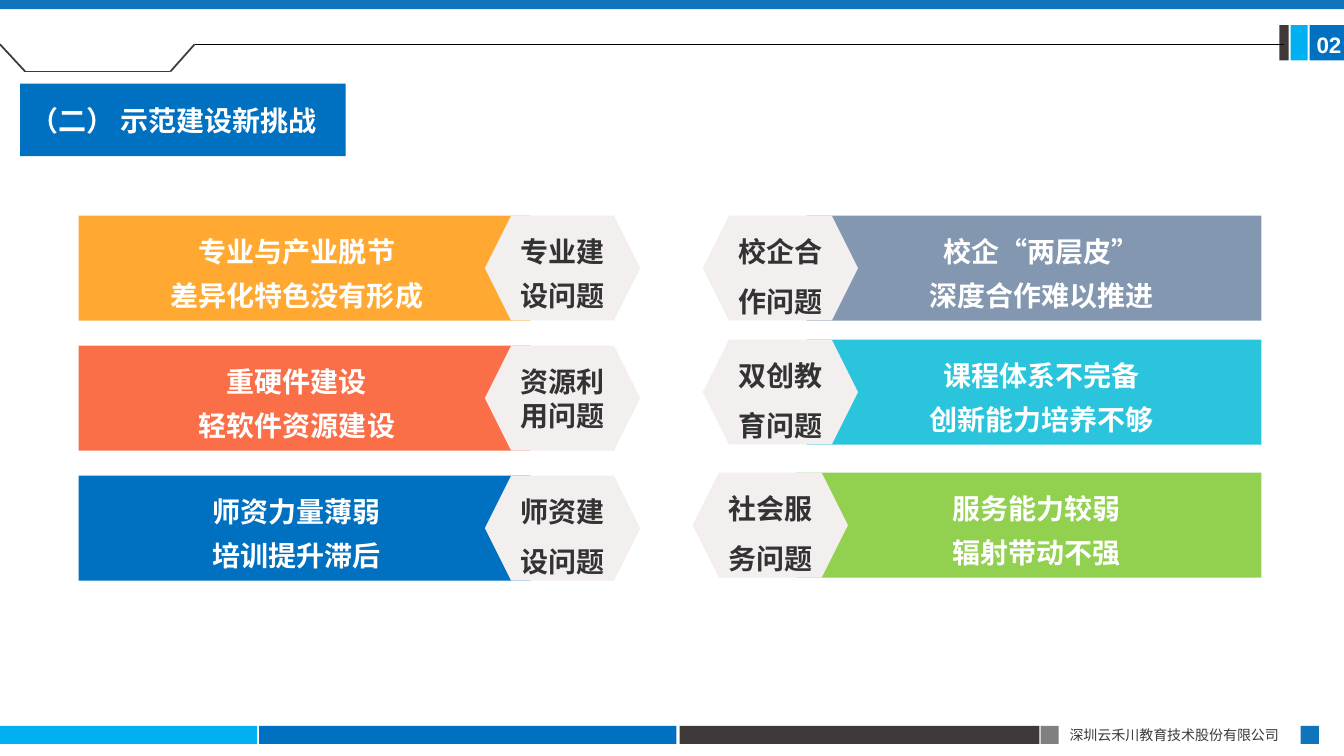
from lxml.etree import SubElement
from pptx import Presentation
from pptx.dml.color import RGBColor
from pptx.enum.shapes import MSO_CONNECTOR, MSO_SHAPE
from pptx.enum.text import MSO_ANCHOR, PP_ALIGN
from pptx.oxml.ns import qn
from pptx.util import Inches, Pt

BLUE, CYAN, DARK, ACCENT, GRAY = "0070C0", "00B0F0", "3E3A39", "1074BB", "808080"
WHITE, PALE, LABEL = "FFFFFF", "F3EFEF", "333333"
CHINESE_FONT = "Noto Sans CJK SC"
BAND_HEIGHT = 1.04
NOTCH_DEPTH = 0.41


def color(value):
    return RGBColor.from_string(value)


class ChallengeSlide:
    """Draws the elements of the challenge slide in one shared style."""

    def __init__(self, presentation):
        self.slide = presentation.slides.add_slide(presentation.slide_layouts[6])
        self.shapes = self.slide.shapes

    def paint(self, shape, fill):
        shape.shadow.inherit = False
        shape.fill.solid()
        shape.fill.fore_color.rgb = color(fill)
        shape.line.fill.background()
        return shape

    def set_text(self, shape, text, size, text_color, bold=True, font=CHINESE_FONT,
                 align=PP_ALIGN.LEFT, spacing=None, anchor=MSO_ANCHOR.MIDDLE,
                 insets=(0.1, 0.05, 0.1, 0.05)):
        frame = shape.text_frame
        frame.word_wrap = True
        frame.vertical_anchor = anchor
        frame.margin_left, frame.margin_top, frame.margin_right, frame.margin_bottom = (
            Inches(inset) for inset in insets)
        frame.text = text
        for paragraph in frame.paragraphs:
            paragraph.alignment = align
            paragraph.line_spacing = spacing
            for run in paragraph.runs:
                run.font.size = Pt(size)
                run.font.bold = bold
                run.font.name = font
                run.font.color.rgb = color(text_color)
                SubElement(run._r.get_or_add_rPr(), qn("a:ea")).set("typeface", font)

    def preset(self, left, top, width, height, fill, kind=MSO_SHAPE.RECTANGLE):
        shape = self.shapes.add_shape(
            kind, Inches(left), Inches(top), Inches(width), Inches(height))
        return self.paint(shape, fill)

    def text_box(self, left, top, width, height, text, size, text_color, **style):
        box = self.shapes.add_textbox(
            Inches(left), Inches(top), Inches(width), Inches(height))
        self.set_text(box, text, size, text_color, anchor=MSO_ANCHOR.TOP, **style)

    def line(self, start, end, line_color, width):
        connector = self.shapes.add_connector(
            MSO_CONNECTOR.STRAIGHT, *(Inches(value) for value in start + end))
        connector.line.color.rgb = color(line_color)
        connector.line.width = Pt(width)
        SubElement(connector._element.spPr, qn("a:effectLst"))

    def notched_band(self, outer, inner, top, fill, text):
        on_left = outer < inner
        notch = inner - NOTCH_DEPTH if on_left else inner + NOTCH_DEPTH
        bottom = top + BAND_HEIGHT
        points = [(inner, top), (notch, top + BAND_HEIGHT / 2), (inner, bottom), (outer, bottom)]
        builder = self.shapes.build_freeform(Inches(outer), Inches(top))
        builder.add_line_segments([(Inches(x), Inches(y)) for x, y in points], close=True)
        band = self.paint(builder.convert_to_shape(), fill)
        insets = (0.16, 0.05, 0.31, 0.05) if on_left else (0.31, 0.05, 0.16, 0.05)
        self.set_text(band, text, 20, WHITE, align=PP_ALIGN.CENTER, spacing=1.3, insets=insets)

    def challenge(self, outer, inner, top, fill, text, label, label_spacing):
        self.notched_band(outer, inner, top, fill, text)
        left = inner - 0.45 if outer < inner else inner - 1.03
        hexagon = self.preset(left, top, 1.54, BAND_HEIGHT, PALE, MSO_SHAPE.HEXAGON)
        self.set_text(hexagon, label, 20, LABEL, align=PP_ALIGN.CENTER,
                      spacing=label_spacing, insets=(0, 0, 0, 0))


def main():
    presentation = Presentation()
    presentation.slide_width = Inches(13.33)
    presentation.slide_height = Inches(7.5)
    page = ChallengeSlide(presentation)

    footer_blocks = [(0, 2.55, CYAN), (2.57, 4.14, BLUE), (6.74, 3.57, DARK),
                     (10.32, 0.18, GRAY), (12.9, 0.18, ACCENT)]
    for left, width, fill in footer_blocks:
        page.preset(left, 7.2, width, 0.18, fill)
    page.text_box(10.51, 7.16, 2.4, 0.27, "深圳云禾川教育技术股份有限公司", 10, DARK,
                  bold=False, align=PP_ALIGN.JUSTIFY)

    for left, width, fill in [(12.99, 0.34, BLUE), (12.8, 0.17, CYAN), (12.69, 0.09, DARK)]:
        page.preset(left, 0.25, width, 0.35, fill)
    page.preset(0, 0, 13.33, 0.09, ACCENT)

    tab_outline = [(0, 0.44), (0.25, 0.71), (1.69, 0.71), (1.93, 0.44)]
    for start, end in zip(tab_outline, tab_outline[1:]):
        page.line(start, end, DARK, 1.25)
    page.line(tab_outline[-1], (12.73, 0.44), "000000", 0.5)

    title = page.preset(0.2, 0.83, 3.23, 0.72, BLUE)
    page.set_text(title, "（二） 示范建设新挑战", 20, WHITE)

    challenges = [
        (0.78, 5.26, 2.14, "FFA932", "专业与产业脱节\n差异化特色没有形成", "专业建设问题", 1.3),
        (0.78, 5.26, 3.43, "FA6F48", "重硬件建设\n轻软件资源建设", "资源利用问题", None),
        (0.78, 5.26, 4.72, BLUE, "师资力量薄弱\n培训提升滞后", "师资建设问题", 1.5),
        (12.51, 8, 2.14, "8497B0", "校企“两层皮”\n深度合作难以推进", "校企合作问题", 1.5),
        (12.51, 8, 3.37, "2AC4DC", "课程体系不完备\n创新能力培养不够", "双创教育问题", 1.5),
        (12.51, 7.9, 4.69, "92D050", "服务能力较弱\n辐射带动不强", "社会服务问题", 1.5),
    ]
    for challenge in challenges:
        page.challenge(*challenge)

    page.text_box(12.96, 0.26, 0.5, 0.37, "02", 16, WHITE, font="Arial")
    presentation.save("out.pptx")


if __name__ == "__main__":
    main()
